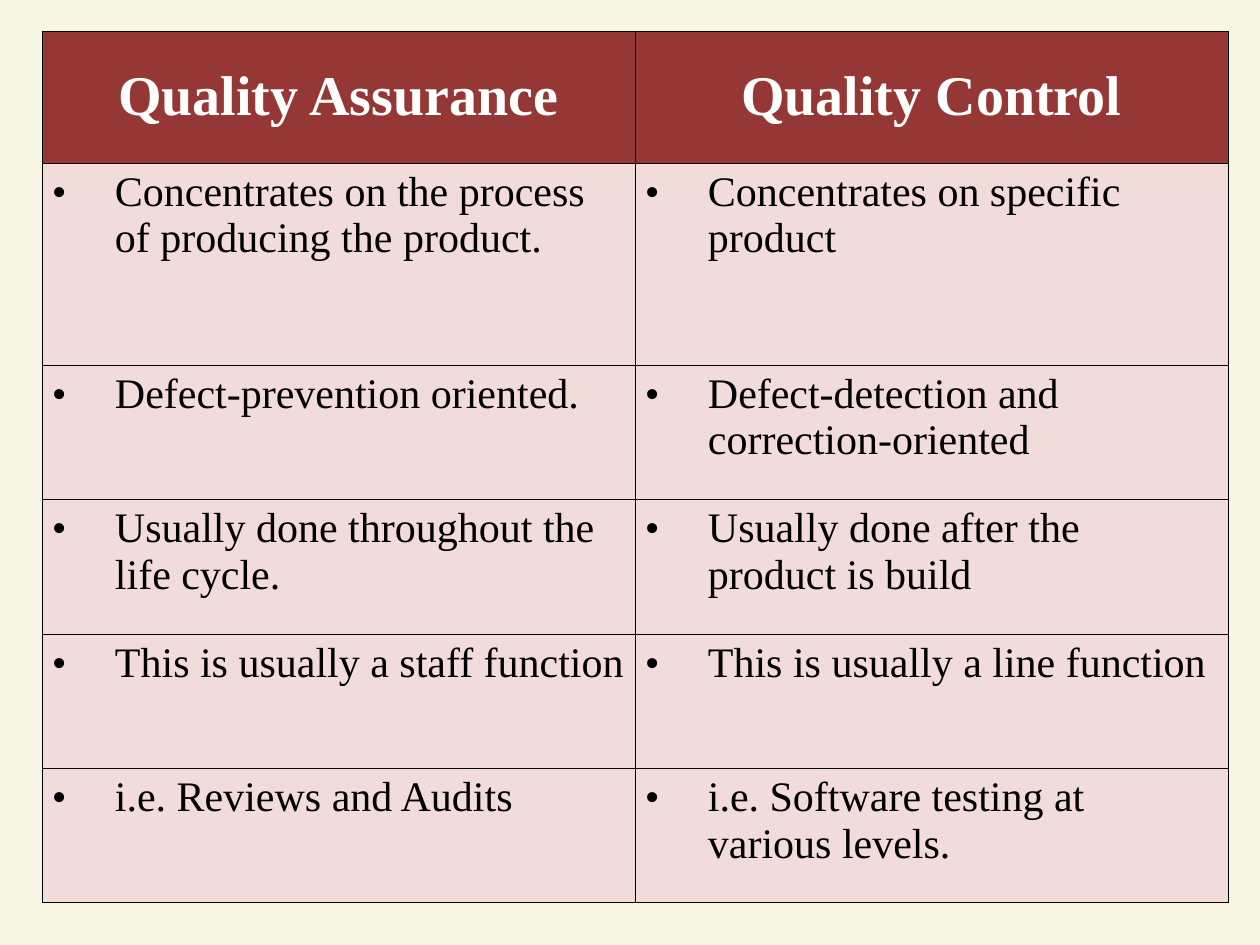
import pptx
import pptx.dml.color
import pptx.enum.text
import pptx.util
from dataclasses import dataclass
from lxml import etree

HEADERS = ("Quality Assurance", "Quality Control")
COMPARISON = [
    ("Concentrates on the process of producing the product.",
     "Concentrates on specific product"),
    ("Defect-prevention oriented.",
     "Defect-detection and correction-oriented"),
    ("Usually done throughout the life cycle.",
     "Usually done after the product is build"),
    ("This is usually a staff function",
     "This is usually a line function"),
    ("i.e. Reviews and Audits",
     "i.e. Software testing at various levels."),
]


@dataclass(frozen=True)
class Theme:
    font: str = "Times New Roman"
    header_size: int = 32
    body_size: int = 24
    background: str = "F6F6E2"
    header_fill: str = "953735"
    header_text: str = "FFFFFF"
    body_fill: str = "F2DCDB"
    body_text: str = "000000"
    border: str = "000000"
    border_width: float = 0.45


THEME = Theme()
PX = pptx.util.Inches(1) // 126
SLIDE_W, SLIDE_H = 1260, 945
LEFT, TOP, WIDTH, HEIGHT = 42, 31, 1186, 872
HEADER_H, FIRST_ROW_H = 132, 202
INSET_X, INSET_Y, BULLET_INDENT = 10, 6, 63
A = "http://schemas.openxmlformats.org/drawingml/2006/main"


def px(n):
    return round(n * PX)


def rgb(value):
    return pptx.dml.color.RGBColor.from_string(value)


def add_element(parent, tag, **attrs):
    return etree.SubElement(parent, f"{{{A}}}{tag}", **attrs)


def set_borders(cell):
    """Put the four lines ahead of the fill, as the schema asks."""
    tc_pr = cell._tc.get_or_add_tcPr()
    width = str(pptx.util.Pt(THEME.border_width))
    for i, side in enumerate(("lnL", "lnR", "lnT", "lnB")):
        ln = add_element(tc_pr, side, w=width)
        add_element(add_element(ln, "solidFill"), "srgbClr", val=THEME.border)
        tc_pr.insert(i, ln)


def set_bullet(p):
    p_pr = p._p.get_or_add_pPr()
    p_pr.set("marL", str(px(BULLET_INDENT)))
    p_pr.set("indent", str(-px(BULLET_INDENT)))
    add_element(add_element(p_pr, "buClr"), "srgbClr", val=THEME.body_text)
    add_element(p_pr, "buFont", typeface=THEME.font)
    add_element(p_pr, "buChar", char="•")


def fill_cell(cell, text, is_header):
    cell.margin_left = cell.margin_right = px(INSET_X)
    cell.margin_top = cell.margin_bottom = px(INSET_Y)
    cell.fill.solid()
    cell.fill.fore_color.rgb = rgb(THEME.header_fill if is_header else THEME.body_fill)
    set_borders(cell)
    p = cell.text_frame.paragraphs[0]
    if is_header:
        cell.vertical_anchor = pptx.enum.text.MSO_ANCHOR.MIDDLE
        p.alignment = pptx.enum.text.PP_ALIGN.CENTER
    else:
        cell.vertical_anchor = pptx.enum.text.MSO_ANCHOR.TOP
        p.alignment = pptx.enum.text.PP_ALIGN.LEFT
        set_bullet(p)
    r = p.add_run()
    r.text = text
    r.font.name = THEME.font
    r.font.size = pptx.util.Pt(THEME.header_size if is_header else THEME.body_size)
    r.font.bold = is_header
    r.font.color.rgb = rgb(THEME.header_text if is_header else THEME.body_text)


def add_comparison_table(s):
    rows = [HEADERS, *COMPARISON]
    table = s.shapes.add_table(len(rows), len(HEADERS), px(LEFT), px(TOP),
                               px(WIDTH), px(HEIGHT)).table
    table.horz_banding = False
    for col in table.columns:
        col.width = px(WIDTH / len(HEADERS))
    other_h = (HEIGHT - HEADER_H - FIRST_ROW_H) / (len(rows) - 2)
    heights = [HEADER_H, FIRST_ROW_H] + [other_h] * (len(rows) - 2)
    for i, (texts, height) in enumerate(zip(rows, heights)):
        table.rows[i].height = px(height)
        for j, text in enumerate(texts):
            fill_cell(table.cell(i, j), text, is_header=i == 0)


def main():
    prs = pptx.Presentation()
    prs.slide_width, prs.slide_height = px(SLIDE_W), px(SLIDE_H)
    s = prs.slides.add_slide(prs.slide_layouts[6])
    s.background.fill.solid()
    s.background.fill.fore_color.rgb = rgb(THEME.background)
    add_comparison_table(s)
    prs.save("out.pptx")


if __name__ == "__main__":
    main()
